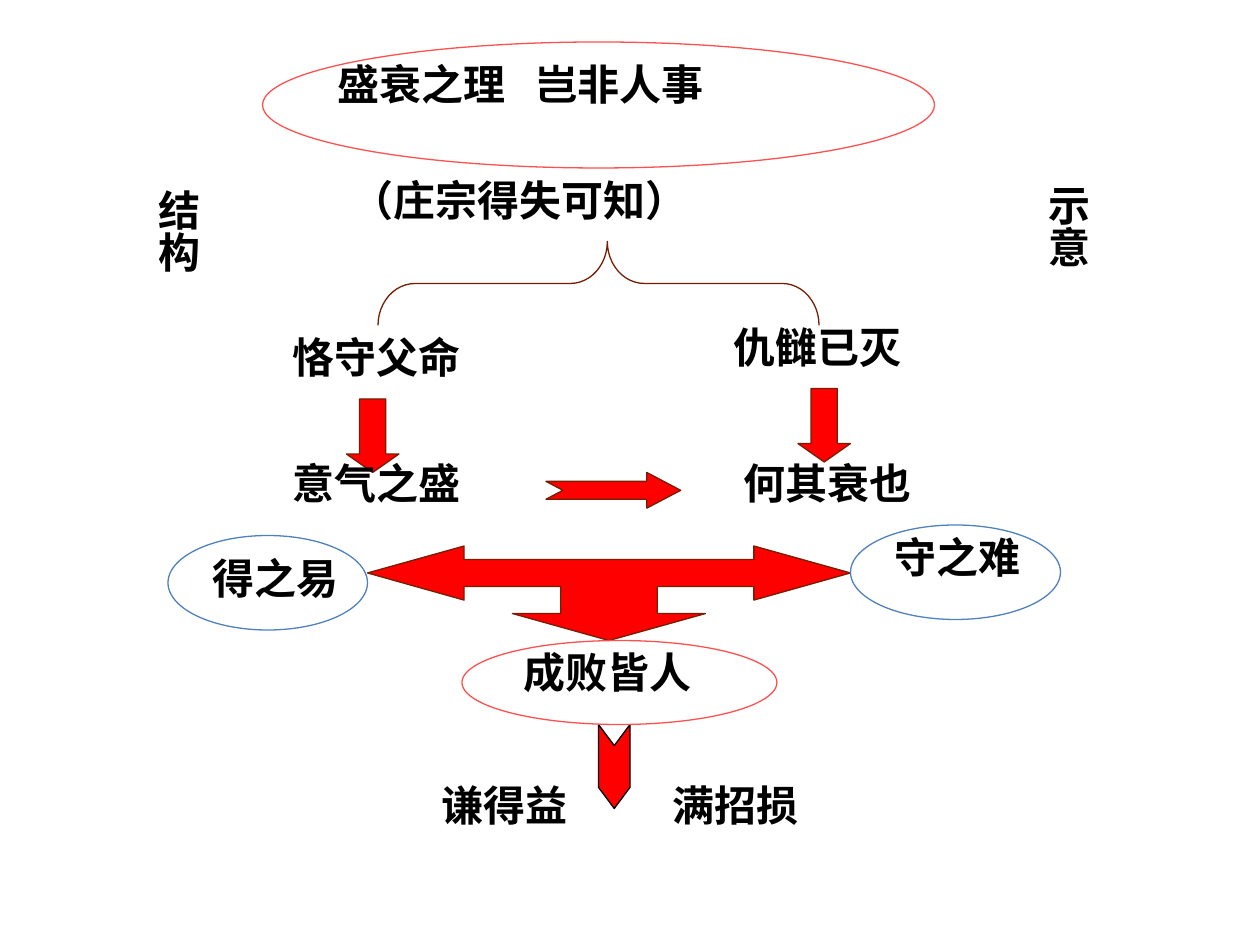
from lxml.etree import SubElement
from pptx import Presentation
from pptx.dml.color import RGBColor
from pptx.enum.shapes import MSO_SHAPE as Shape
from pptx.enum.text import PP_ALIGN as Align
from pptx.oxml.ns import qn
from pptx.util import Pt

FONT = "Noto Sans CJK SC"
RED, BROWN, CORAL, BLUE, BLACK = "FF0000", "751E03", "FF5050", "4F81BD", "000000"
BOX_HEIGHT = 36

# Centred labels: text, left, top, width
LABELS = [
    ("（庄宗得失可知）", 194, 96, 206),
    ("恪守父命", 160, 186, 110),
    ("仇雠已灭", 412, 180, 110),
    ("意气之盛", 160, 258, 110),
    ("何其衰也", 418, 258, 110),
    ("得之易", 114.5, 312, 86),
    ("守之难", 504, 300, 86),
    ("成败皆人", 292, 366, 110),
]
# Paired phrases set apart by a tab: phrases, left, top, width, tab position
PAIRS = [
    (("盛衰之理", "岂非人事"), 193, 30, 216, 113),
    (("谦得益", "满招损"), 252.5, 442, 208, 132),
]
# Vertical side labels: text, left, top
SIDE_LABELS = [("结构", 76.5, 104.5), ("示意", 585, 101.5)]

# Ellipses: left, top, width, height, line
ELLIPSES = [
    (150, 24, 384, 72, CORAL),
    (264, 366, 180, 48, CORAL),
    (96, 306, 114, 54, BLUE),
    (486, 300, 120, 54, BLUE),
]
# Preset shapes: kind, left, top, width, height, rotation, adjustments, fill, line
SYMBOLS = [
    (Shape.LEFT_BRACE, 318, 36, 48, 252, 90, (0.44, 0.48), None, BROWN),
    (Shape.DOWN_ARROW, 198, 228, 30, 42, 0, (0.5, 0.35), RED, BROWN),
    (Shape.DOWN_ARROW, 456, 222, 30, 42, 0, (0.5, 0.35), RED, BROWN),
    (Shape.NOTCHED_RIGHT_ARROW, 312, 270, 77, 20.4, 0, (0.5, 0.95), RED, BROWN),
    (Shape.CHEVRON, 327, 429, 48, 18, 90, (0.67,), RED, BLACK),
]
# Right half of the three-way arrow, from its lower tip: offset from axis, y
ARROW_AXIS = 348
ARROW_HALF = [
    (0, 366), (55.2, 350.6), (27.6, 350.6), (27.6, 335.1), (82.8, 335.1),
    (82.8, 342.9), (138, 327.4), (82.8, 312), (82.8, 319.7),
]


def color(value):
    return RGBColor.from_string(value)


def style(shape, fill, line):
    shape.shadow.inherit = False
    if fill:
        shape.fill.solid()
        shape.fill.fore_color.rgb = color(fill)
    else:
        shape.fill.background()
    shape.line.color.rgb = color(line)
    shape.line.width = Pt(0.75)


def add_symbol(page, kind, left, top, width, height, rotation, adjustments, fill, line):
    shape = page.shapes.add_shape(kind, Pt(left), Pt(top), Pt(width), Pt(height))
    shape.rotation = rotation
    for index, value in enumerate(adjustments):
        shape.adjustments[index] = value
    style(shape, fill, line)


def add_text(page, text, left, top, width, height=BOX_HEIGHT, align=Align.LEFT, tab=None):
    box = page.shapes.add_textbox(Pt(left), Pt(top), Pt(width), Pt(height))
    frame = box.text_frame
    frame.word_wrap = True
    frame.margin_left = frame.margin_right = 0
    para = frame.paragraphs[0]
    para.alignment = align
    if tab:
        tabs = SubElement(para._p.get_or_add_pPr(), qn("a:tabLst"))
        SubElement(tabs, qn("a:tab"), pos=str(Pt(tab)), algn="l")
    span = para.add_run()
    span.text = text
    span.font.size = Pt(24)
    span.font.bold = True
    span.font.color.rgb = color(BLACK)
    span.font.name = FONT
    SubElement(span._r.get_or_add_rPr(), qn("a:ea"), typeface=FONT)
    return frame


def add_three_way_arrow(page):
    mirrored = [(-offset, y) for offset, y in reversed(ARROW_HALF[1:])]
    points = [(Pt(ARROW_AXIS + offset), Pt(y)) for offset, y in ARROW_HALF + mirrored]
    builder = page.shapes.build_freeform(*points[0], scale=1.0)
    builder.add_line_segments(points[1:], close=True)
    style(builder.convert_to_shape(), RED, BROWN)


def main():
    deck = Presentation()
    deck.slide_width, deck.slide_height = Pt(720), Pt(540)
    page = deck.slides.add_slide(deck.slide_layouts[6])

    # Brace, arrows and ellipses
    for symbol in SYMBOLS:
        add_symbol(page, *symbol)
    add_three_way_arrow(page)
    for *place, line in ELLIPSES:
        add_symbol(page, Shape.OVAL, *place, 0, (), None, line)

    # Labels
    for text, left, top, width in LABELS:
        add_text(page, text, left, top, width, align=Align.CENTER)
    for phrases, left, top, width, tab in PAIRS:
        add_text(page, "\t".join(phrases), left, top, width, tab=tab)
    for text, left, top in SIDE_LABELS:
        frame = add_text(page, text, left, top, 43, 60)
        frame.margin_left = frame.margin_right = Pt(3.6)
        frame.margin_top, frame.margin_bottom = Pt(4), 0
        frame._txBody.bodyPr.set("vert", "eaVert")

    deck.save("out.pptx")


if __name__ == "__main__":
    main()
